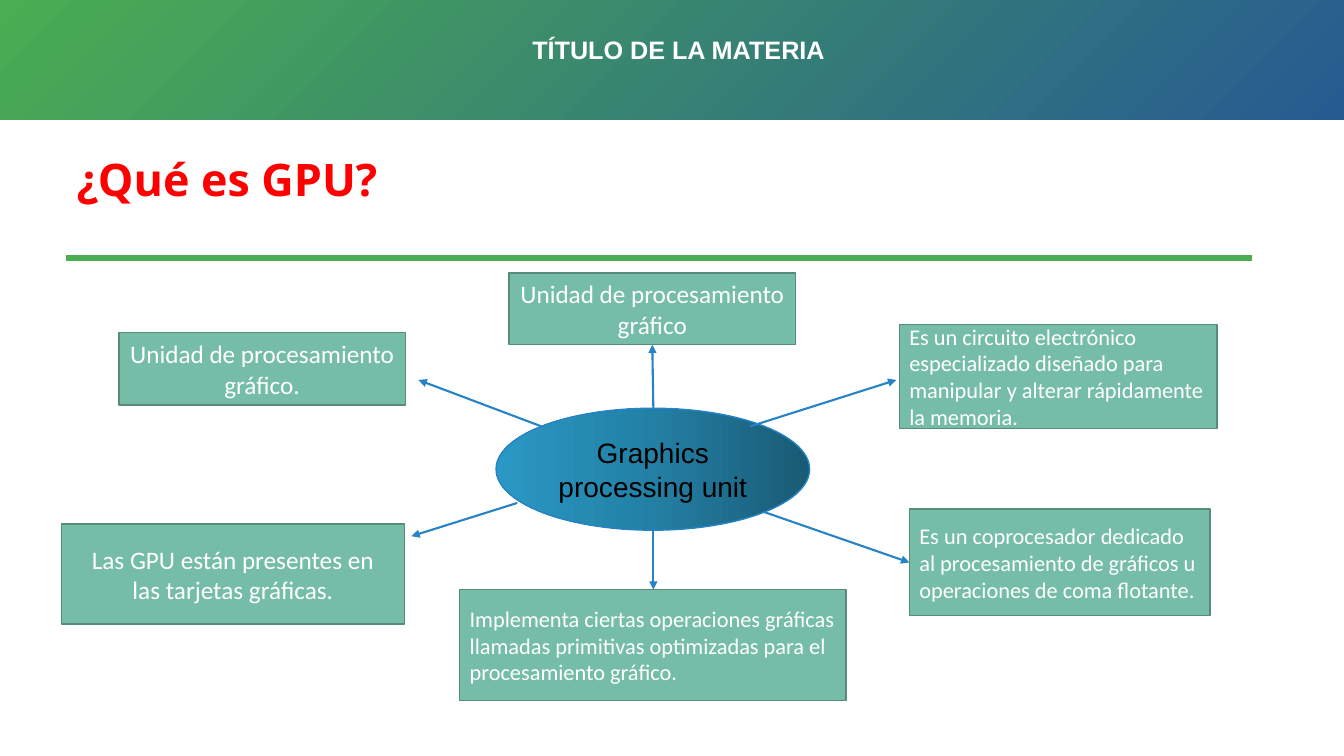
import copy
import pptx
import pptx.dml.color
import pptx.enum.shapes
import pptx.enum.text
import pptx.oxml
import pptx.oxml.ns
import pptx.util

Inches = pptx.util.Inches
Shapes = pptx.enum.shapes.MSO_SHAPE
Align = pptx.enum.text.PP_ALIGN
Anchor = pptx.enum.text.MSO_ANCHOR

# Content
HEADER = "TÍTULO DE LA MATERIA"
TITLE = "¿Qué es GPU?"
CENTER = "Graphics processing unit"
BLUE, GREEN = "2683C6", "4AAD52"

# Text, position (left, top, width, height), size, alignment
IDEAS = [
    ("Unidad de procesamiento gráfico.", (1.18, 3.3, 2.84, 0.72), 18, Align.CENTER),
    ("Es un\u00a0circuito electrónico especializado diseñado para manipular y "
     "alterar rápidamente la\u00a0memoria.", (8.92, 3.22, 3.15, 1.03), 16, Align.LEFT),
    ("Es un\u00a0coprocesador dedicado al procesamiento de gráficos u operaciones "
     "de coma flotante.", (9.02, 5.05, 2.98, 1.06), 16, Align.LEFT),
    ("Implementa ciertas operaciones gráficas llamadas primitivas optimizadas "
     "para el procesamiento gráfico.", (4.56, 5.85, 3.83, 1.1), 16, Align.LEFT),
    ("Las GPU están presentes en las\u00a0tarjetas gráficas.",
     (0.61, 5.2, 3.4, 0.99), 18, Align.CENTER),
    ("Unidad de procesamiento gráfico", (5.05, 2.71, 2.84, 0.71), 18, Align.CENTER),
]

# Start and end of each arrow
ARROWS = [
    ((5.37, 4.23), (4.15, 3.77)),
    ((7.44, 4.23), (8.89, 3.77)),
    ((6.48, 4.05), (6.47, 3.42)),
    ((7.58, 5.08), (9.02, 5.58)),
    ((6.48, 5.26), (6.48, 5.85)),
    ((5.13, 4.99), (4.08, 5.32)),
]


def color(value):
    return pptx.dml.color.RGBColor.from_string(value)


def write(shape, text, size, font="Calibri", ink="FFFFFF", bold=False,
          align=Align.CENTER, anchor=Anchor.MIDDLE, spacing=None):
    frame = shape.text_frame
    frame.word_wrap = True
    frame.vertical_anchor = anchor
    para = frame.paragraphs[0]
    para.alignment = align
    para.line_spacing = spacing
    span = para.add_run()
    span.text = text
    span.font.size = pptx.util.Pt(size)
    span.font.name = font
    span.font.bold = bold
    span.font.color.rgb = color(ink)


def add_box(kind, place, stops, outline=None, angle=0):
    """Add a shape; one stop gives a solid fill, more give a gradient."""
    box = slide.shapes.add_shape(kind, *map(Inches, place))
    box.shadow.inherit = False
    if len(stops) == 1:
        box.fill.solid()
        box.fill.fore_color.rgb = color(stops[0])
    else:
        box.fill.gradient()
        box.fill.gradient_angle = angle
        stop_list = box._element.spPr.find(".//" + pptx.oxml.ns.qn("a:gsLst"))
        for _ in stops[2:]:
            stop_list.append(copy.deepcopy(stop_list[-1]))
        for index, stop in enumerate(box.fill.gradient_stops):
            stop.position = index / (len(stops) - 1)
            stop.color.rgb = color(stops[index])
    if outline:
        box.line.color.rgb = color(outline)
        box.line.width = pptx.util.Pt(1)
    else:
        box.line.fill.background()
    return box


def add_line(start, end, ink, width, arrow=False):
    line = slide.shapes.add_connector(
        pptx.enum.shapes.MSO_CONNECTOR.STRAIGHT, *map(Inches, start + end))
    line.line.color.rgb = color(ink)
    line.line.width = pptx.util.Pt(width)
    if arrow:
        line.line._get_or_add_ln().append(pptx.oxml.parse_xml(
            f'<a:tailEnd {pptx.oxml.ns.nsdecls("a")} type="triangle"/>'))
    line._element.spPr.append(pptx.oxml.parse_xml(
        f'<a:effectLst {pptx.oxml.ns.nsdecls("a")}/>'))


deck = pptx.Presentation()
deck.slide_width, deck.slide_height = Inches(13.33), Inches(7.5)
slide = deck.slides.add_slide(deck.slide_layouts[5])

# Header band
add_box(Shapes.RECTANGLE, (0, 0, 13.33, 1.19), [GREEN, "265B91"], angle=315)
header = slide.shapes.add_textbox(*map(Inches, (2.47, 0.29, 8.52, 0.4)))
write(header, HEADER, 18, font="Arial", bold=True, anchor=Anchor.TOP)

# Title and rule
title = slide.shapes.title
title.left, title.top, title.width, title.height = map(Inches, (0.66, 1.39, 11.76, 1.45))
title.text_frame.margin_top = Inches(0.18)
write(title, TITLE, 32, font="Open Sans", ink="FF0000", bold=True,
      align=Align.LEFT, anchor=Anchor.TOP, spacing=0.9)
add_line((0.65, 2.56), (12.42, 2.56), GREEN, 4.25)

# Central idea
center = add_box(Shapes.OVAL, (4.92, 4.05, 3.11, 1.21),
                 ["195A74", "2380A5", "2A98C4"], outline=BLUE, angle=180)
write(center, CENTER, 20, font="Arial", ink="000000")

# Surrounding ideas and arrows
for text, place, size, align in IDEAS:
    box = add_box(Shapes.RECTANGLE, place, ["75BDA7"], outline="578C7C")
    write(box, text, size, align=align)
for start, end in ARROWS:
    add_line(start, end, BLUE, 1.5, arrow=True)

deck.save("out.pptx")
